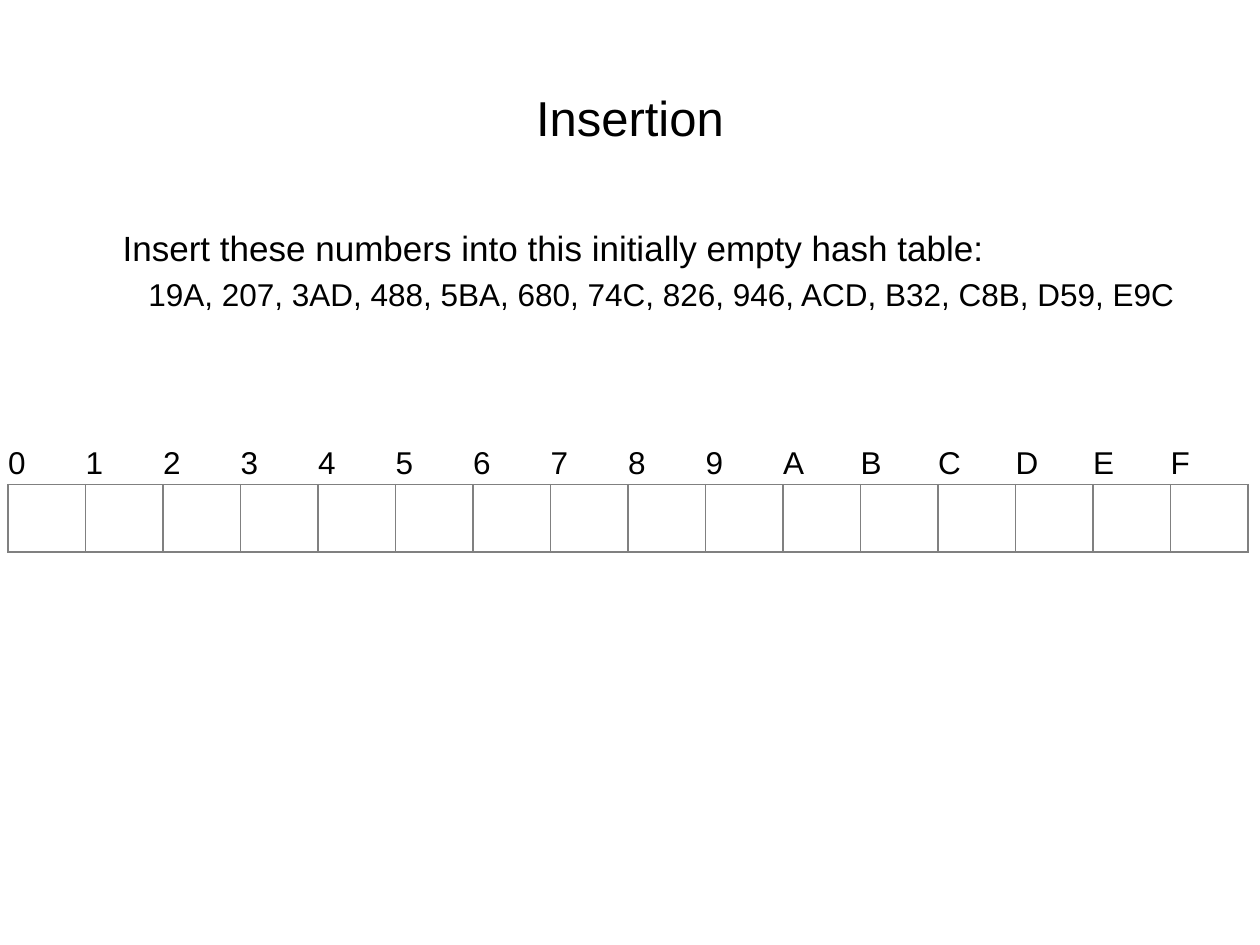
from pptx import Presentation
from pptx.dml.color import RGBColor
from pptx.enum.text import MSO_ANCHOR as Anchor, PP_ALIGN as Align
from pptx.oxml import parse_xml
from pptx.oxml.ns import nsdecls
from pptx.util import Pt

BLACK = RGBColor(0x00, 0x00, 0x00)
GRAY = RGBColor(0x80, 0x80, 0x80)
NO_GRID_STYLE = "{2D5ABB26-0587-4C30-8999-92F81FD0307C}"
SLOTS = "0123456789ABCDEF"
KEYS = "19A, 207, 3AD, 488, 5BA, 680, 74C, 826, 946, ACD, B32, C8B, D59, E9C"


class SlideBuilder:
    font_name = "Arial"

    def __init__(self, presentation):
        self.slide = presentation.slides.add_slide(presentation.slide_layouts[5])

    def add_text(self, paragraph, text, size, align=Align.LEFT):
        paragraph.alignment = align
        run = paragraph.add_run()
        run.text = text
        run.font.name = self.font_name
        run.font.size = Pt(size)
        run.font.color.rgb = BLACK

    def title(self, text, left, top, width, height):
        shape = self.slide.shapes.title
        shape.left, shape.top = Pt(left), Pt(top)
        shape.width, shape.height = Pt(width), Pt(height)
        shape.text_frame.vertical_anchor = Anchor.MIDDLE
        self.add_text(shape.text_frame.paragraphs[0], text, 28, Align.CENTER)

    def body(self, heading, detail, left, top, width, height):
        shape = self.slide.shapes.add_textbox(Pt(left), Pt(top), Pt(width), Pt(height))
        frame = shape.text_frame
        frame.word_wrap = True
        first, second = frame.paragraphs[0], frame.add_paragraph()
        self.add_text(first, heading, 20)
        self.add_text(second, detail, 18, Align.CENTER)
        second.space_before = Pt(3.6)
        for paragraph, margin, indent in ((first, 27, 0), (second, 58.5, -22.5)):
            properties = paragraph._p.get_or_add_pPr()
            properties.set("marL", str(Pt(margin)))
            properties.set("indent", str(Pt(indent)))

    def borders(self, cell, sides):
        for side in sides:
            cell._tc.get_or_add_tcPr().append(parse_xml(
                f'<a:ln{side} {nsdecls("a")} w="{Pt(1)}"><a:solidFill>'
                f'<a:srgbClr val="{GRAY}"/></a:solidFill></a:ln{side}>'))

    def hash_table(self, slots, left, top, column_width, row_heights):
        shape = self.slide.shapes.add_table(
            len(row_heights), len(slots), Pt(left), Pt(top),
            Pt(column_width * len(slots)), Pt(sum(row_heights)))
        table = shape.table
        table.first_row = table.horz_banding = False
        table._tbl.tblPr.find("{*}tableStyleId").text = NO_GRID_STYLE
        for row, height in zip(table.rows, row_heights):
            row.height = Pt(height)
        for index, slot in enumerate(slots):
            table.columns[index].width = Pt(column_width)
            label, bucket = table.cell(0, index), table.cell(1, index)
            self.add_text(label.text_frame.paragraphs[0], slot, 18)
            self.borders(label, "B")
            self.borders(bucket, "LRTB")
            for cell in (label, bucket):
                cell.margin_left = cell.margin_right = Pt(0)
                cell.margin_top = cell.margin_bottom = Pt(0)
                cell.vertical_anchor = Anchor.MIDDLE
                cell.fill.background()


def main():
    presentation = Presentation()
    presentation.slide_width, presentation.slide_height = Pt(720), Pt(540)
    builder = SlideBuilder(presentation)

    # Title and task
    builder.title("Insertion", 36, 21.6, 648, 90)
    builder.body("Insert these numbers into this initially empty hash table:",
                 KEYS, 36, 126, 648, 356.4)

    # Empty hash table with one labelled bucket per hex digit
    builder.hash_table(SLOTS, 4.7, 253, 44.3, (24, 38.5))

    presentation.save("out.pptx")


if __name__ == "__main__":
    main()
